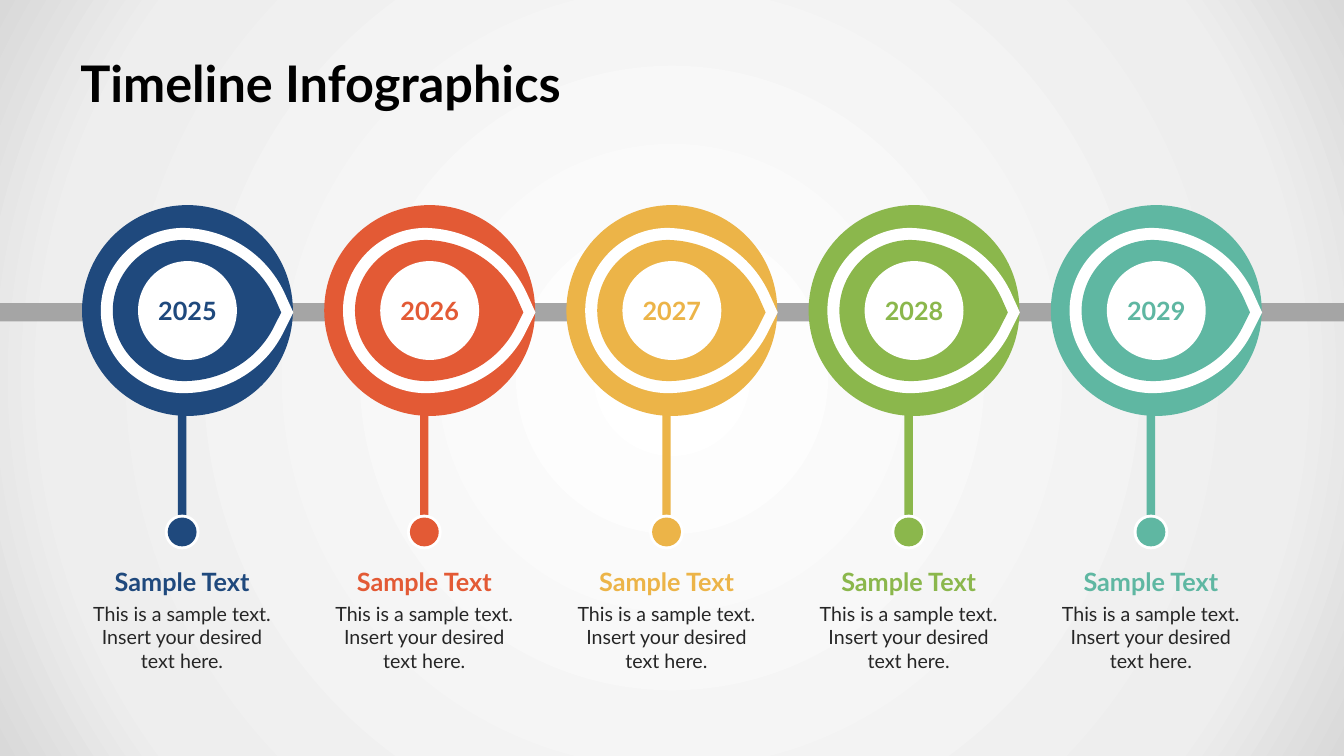
from lxml import etree
from pptx import Presentation
from pptx.dml.color import RGBColor
from pptx.enum.shapes import MSO_SHAPE
from pptx.enum.text import MSO_ANCHOR, MSO_AUTO_SIZE, PP_ALIGN
from pptx.oxml.ns import qn
from pptx.util import Pt

OVAL, RECT = MSO_SHAPE.OVAL, MSO_SHAPE.RECTANGLE
LEFT, CENTER = PP_ALIGN.LEFT, PP_ALIGN.CENTER
TOP, MIDDLE = MSO_ANCHOR.TOP, MSO_ANCHOR.MIDDLE
GROW, FIXED = MSO_AUTO_SIZE.SHAPE_TO_FIT_TEXT, MSO_AUTO_SIZE.NONE

FONT = "Lato"
WHITE, BLACK, GRAY, DARK = "FFFFFF", "000000", "A5A5A5", "262626"
STOPS = [(0, "FFFFFF"), (81, "EEEEEE"), (100, "D9D9D9")]
ITEMS = [
    ("2025", "1F497D"),
    ("2026", "E35A35"),
    ("2027", "ECB448"),
    ("2028", "8BB74C"),
    ("2029", "5FB7A2"),
]
HEAD = "Sample Text"
BODY = "This is a sample text. Insert your desired text here."
FIRST, STEP, MID = 133.9, 173, 221.8
STEM = -3.8
OUTER = [
    [(-2.9, 59)],
    [(-35.3, 59), (-61.9, 32.4), (-61.9, 0)],
    [(-61.9, -32.4), (-35.3, -59), (-2.9, -59)],
    [(28.8, -58.3), (56.2, -40.3), (69.1, -13)],
    [(75.6, 1.4)],
    [(69.1, 14.4)],
    [(56.2, 41.8), (28.1, 59), (-2.9, 59)],
]
INNER = [
    [(-2.5, 50.4)],
    [(-30.2, 50.4), (-53.3, 28.1), (-53.3, 0)],
    [(-53.3, -27.4), (-30.2, -50.4), (-2.5, -50.4)],
    [(25.9, -49.7), (51.1, -33.8), (62.6, -8.6)],
    [(67, 1.4)],
    [(62.6, 10.1)],
    [(51.1, 34.6), (25.9, 50.4), (-2.5, 50.4)],
]


def rgb(color):
    """Turn a hex string into a colour."""
    return RGBColor.from_string(color)


def paint(shape, color):
    """Give a shape a flat fill with no line or shadow."""
    shape.shadow.inherit = False
    shape.fill.solid()
    shape.fill.fore_color.rgb = rgb(color)
    shape.line.fill.background()


def block(slide, kind, x, y, wide, high, color):
    """Add a plain preset shape."""
    shape = slide.shapes.add_shape(kind, Pt(x), Pt(y), Pt(wide), Pt(high))
    paint(shape, color)


def disc(slide, x, y, size, color):
    """Add a circle around a centre."""
    block(slide, OVAL, x - size / 2, y - size / 2, size, size, color)


def bend(shape, parts):
    """Turn each part of three points into a cubic curve."""
    lines = iter(list(shape.element.iter(qn("a:lnTo"))))
    for part in parts[1:]:
        group = [next(lines) for _ in part]
        if len(group) == 3:
            arc = etree.Element(qn("a:cubicBezTo"))
            group[0].addprevious(arc)
            for line in group:
                arc.append(line[0])
                line.getparent().remove(line)


def drop(slide, x, y, parts, color):
    """Add a pointed drop around a centre."""
    spots = [(Pt(x + dx), Pt(y + dy)) for part in parts for dx, dy in part]
    form = slide.shapes.build_freeform(*spots[0])
    form.add_line_segments(spots[1:], close=True)
    shape = form.convert_to_shape()
    bend(shape, parts)
    paint(shape, color)


def label(slide, x, y, wide, high, text, size, color, bold=True, align=CENTER,
          pad=(7.2, 3.6), wrap=True, fit=GROW, anchor=TOP):
    """Add a text box with one run."""
    box = slide.shapes.add_textbox(Pt(x), Pt(y), Pt(wide), Pt(high))
    frame = box.text_frame
    frame.margin_left = frame.margin_right = Pt(pad[0])
    frame.margin_top = frame.margin_bottom = Pt(pad[1])
    frame.word_wrap, frame.auto_size = wrap, fit
    frame.vertical_anchor = anchor
    para = frame.paragraphs[0]
    para.alignment = align
    run = para.add_run()
    run.text = text
    font = run.font
    font.name, font.size, font.bold = FONT, Pt(size), bold
    font.color.rgb = rgb(color)


def backdrop(slide):
    """Fill the background with a round gradient."""
    slide.background.fill.gradient()
    grad = next(slide.element.iter(qn("a:gradFill")))
    for child in list(grad):
        grad.remove(child)
    stops = etree.SubElement(grad, qn("a:gsLst"))
    for place, color in STOPS:
        stop = etree.SubElement(stops, qn("a:gs"), pos=str(place * 1000))
        etree.SubElement(stop, qn("a:srgbClr"), val=color)
    way = etree.SubElement(grad, qn("a:path"), path="circle")
    sides = dict.fromkeys("ltrb", "50000")
    etree.SubElement(way, qn("a:fillToRect"), **sides)


def marker(slide, x, year, color):
    """Add one year with its drop, stem and caption."""
    stem = x + STEM
    disc(slide, x, MID, 150.6, color)
    block(slide, RECT, stem - 3, 253.4, 6, 119.6, color)
    disc(slide, stem, 380, 24.8, WHITE)
    disc(slide, stem, 380, 20.6, color)
    drop(slide, x, MID, OUTER, WHITE)
    drop(slide, x, MID, INNER, color)
    disc(slide, x, MID, 70.6, WHITE)
    label(slide, x - 21, 211, 42, 21.6, year, 18, color,
          pad=(0, 0), wrap=False)
    label(slide, stem - 71, 401, 142, 29, HEAD, 18, color)
    label(slide, stem - 75.6, 426.2, 151.2, 58.3, BODY, 14, DARK, bold=False)


def main():
    """Build the timeline slide."""
    deck = Presentation()
    deck.slide_width, deck.slide_height = Pt(960), Pt(540)
    slide = deck.slides.add_slide(deck.slide_layouts[6])
    backdrop(slide)
    label(slide, 48, 31, 864, 56, "Timeline Infographics", 36, BLACK,
          align=LEFT, pad=(9.4, 5), fit=FIXED, anchor=MIDDLE)
    block(slide, RECT, -3, 216.6, 965, 13, GRAY)
    for i, (year, color) in enumerate(ITEMS):
        marker(slide, FIRST + i * STEP, year, color)
    deck.save("out.pptx")


if __name__ == "__main__":
    main()
